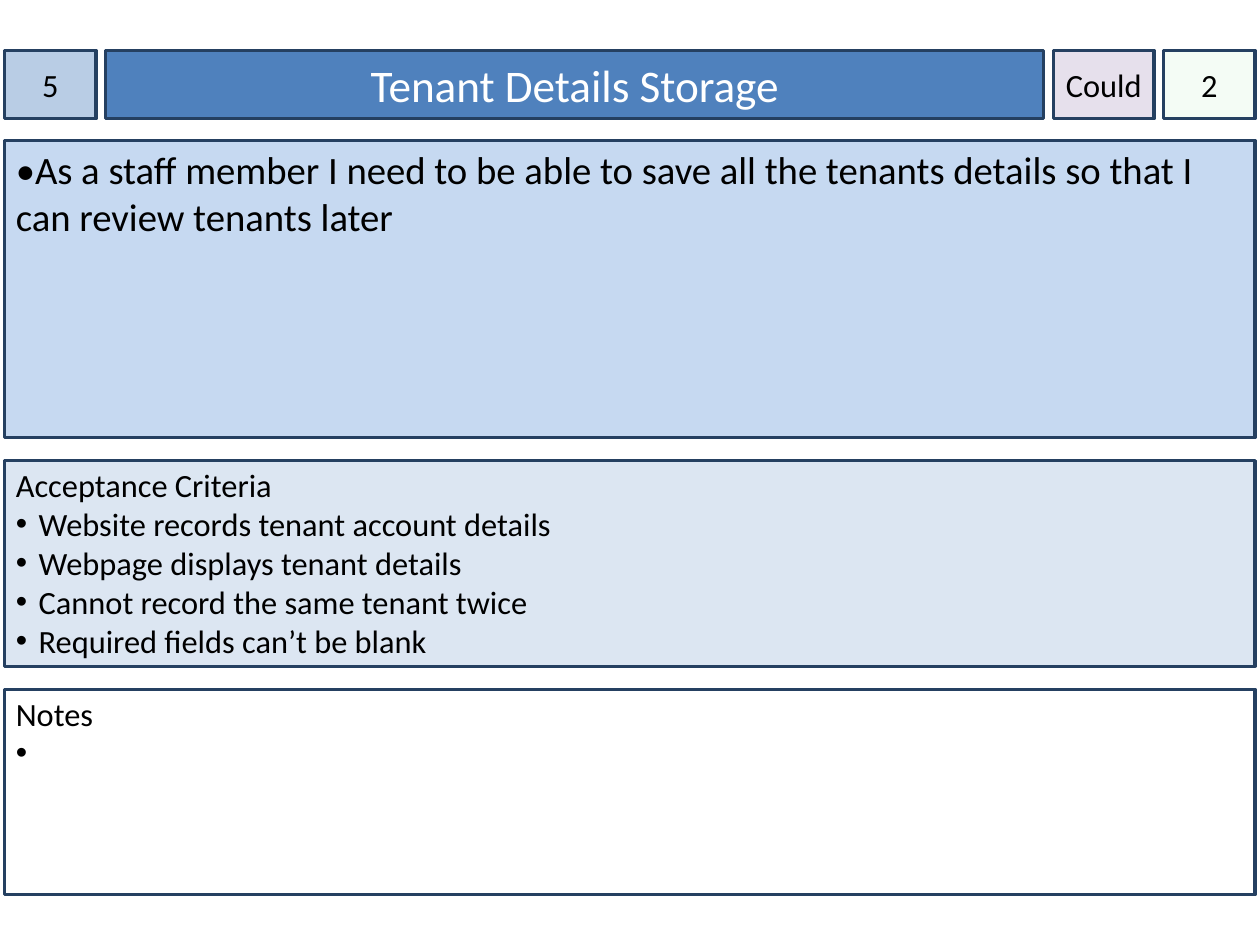
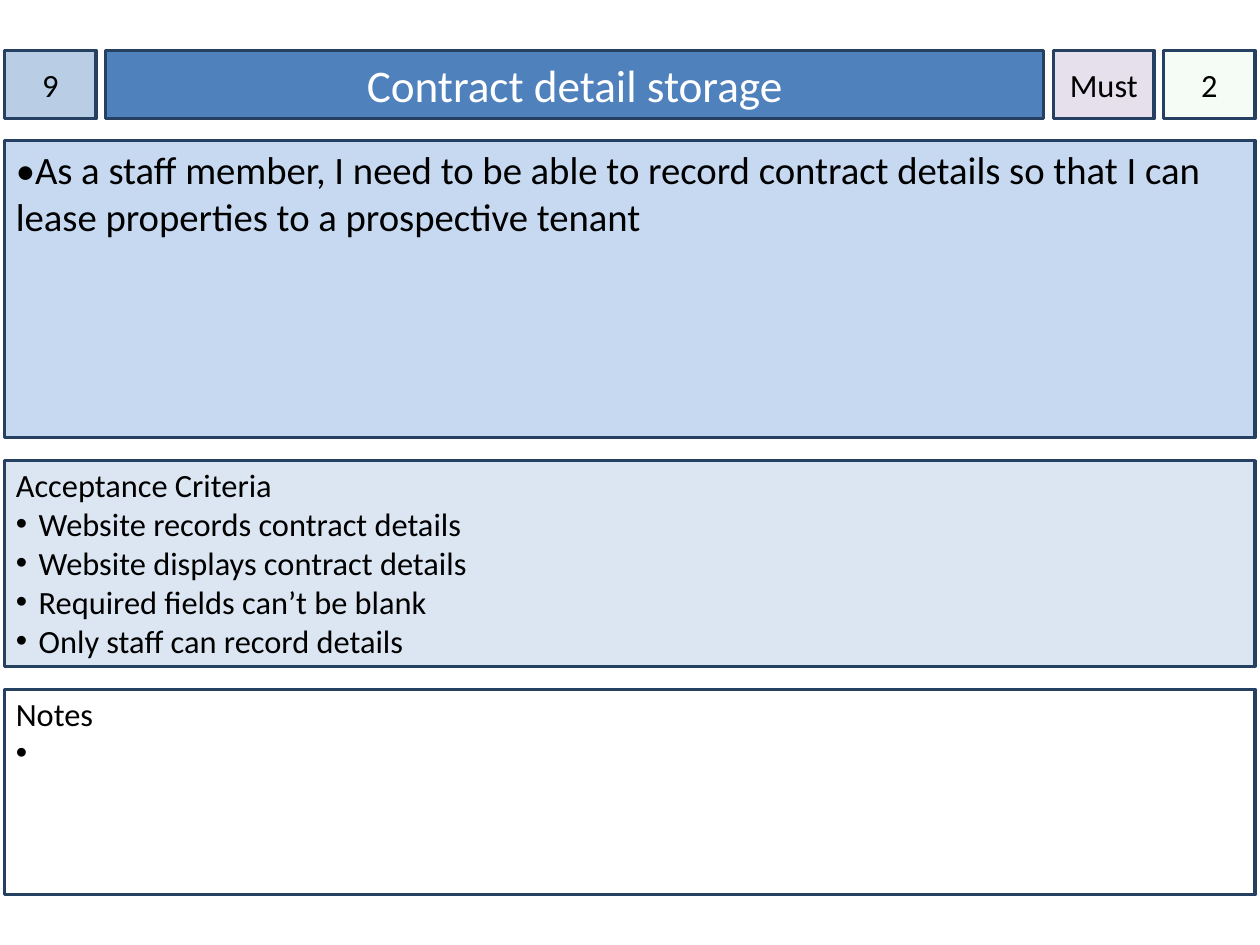
import pptx
import pptx.util
import pptx.dml.color
import pptx.enum.shapes
import pptx.enum.text
import pptx.oxml.ns
from lxml import etree

Inches = pptx.util.Inches
Pt = pptx.util.Pt
RGBColor = pptx.dml.color.RGBColor
Align = pptx.enum.text.PP_ALIGN
Anchor = pptx.enum.text.MSO_ANCHOR
qn = pptx.oxml.ns.qn

# Colours
BORDER = RGBColor(0x25, 0x40, 0x61)
NUMBER_FILL = RGBColor(0xB9, 0xCD, 0xE5)
TITLE_FILL = RGBColor(0x4F, 0x81, 0xBD)
PRIORITY_FILL = RGBColor(0xE6, 0xE0, 0xEC)
ESTIMATE_FILL = RGBColor(0xCC, 0xF0, 0xCD)
STORY_FILL = RGBColor(0xC6, 0xD9, 0xF1)
CRITERIA_FILL = RGBColor(0xDC, 0xE6, 0xF2)
WHITE = RGBColor(0xFF, 0xFF, 0xFF)
BLACK = RGBColor(0x00, 0x00, 0x00)

# Layout, in inches; the page is 28 by 21 cm
SLIDE_W, SLIDE_H = 28 / 2.54, 21 / 2.54
MARGIN = 0.04
CONTENT_W = 10.94
HEADER_TOP, HEADER_H = 0.44, 0.6
HEADER_WIDTHS = (0.8, 8.21, 0.88, 0.8)
HEADER_GAP = (CONTENT_W - sum(HEADER_WIDTHS)) / (len(HEADER_WIDTHS) - 1)
PANELS_TOP, PANEL_GAP = 1.23, 0.2
PANEL_HEIGHTS = (2.6, 1.8, 1.8)
DEFAULT_INSETS = (0.1, 0.05, 0.1, 0.05)
BADGE_INSETS = (0, 0.05, 0, 0.05)
LIST_INSETS = (0.1, 0.04, 0.1, 0.05)
BULLET_INDENT = 0.2

# Text
FONT = "Calibri"
BODY_SIZE, STORY_SIZE, TITLE_SIZE = 20.4, 24.4, 28.5

STORIES = [
    dict(number="5", title="Tenant Details Storage", priority="Could", estimate="2",
         story="•As a staff member I need to be able to save all the tenants details "
               "so that I can review tenants later",
         criteria=["Website records tenant account details",
                   "Webpage displays tenant details",
                   "Cannot record the same tenant twice",
                   "Required fields can’t be blank"]),
    dict(number="9", title="Contract detail storage", priority="Must", estimate="2",
         story="•As a staff member, I need to be able to record contract details "
               "so that I can lease properties to a prospective tenant",
         criteria=["Website records contract details",
                   "Website displays contract details",
                   "Required fields can’t be blank",
                   "Only staff can record details"]),
]


def write(paragraph, text, size=BODY_SIZE, color=BLACK, align=Align.LEFT, bullet=False):
    """Fill a paragraph with one formatted run."""
    paragraph.alignment = align
    if bullet:
        props = paragraph._p.get_or_add_pPr()
        props.set("marL", str(Inches(BULLET_INDENT)))
        props.set("indent", str(-Inches(BULLET_INDENT)))
        etree.SubElement(props, qn("a:buFont"), typeface="Arial")
        etree.SubElement(props, qn("a:buChar"), char="•")
    run = paragraph.add_run()
    run.text = text
    run.font.name = FONT
    run.font.size = Pt(size)
    run.font.color.rgb = color


class CardDeck:
    def __init__(self):
        self.prs = pptx.Presentation()
        self.prs.slide_width = Inches(SLIDE_W)
        self.prs.slide_height = Inches(SLIDE_H)
        self.slide = None

    def new_slide(self):
        self.slide = self.prs.slides.add_slide(self.prs.slide_layouts[6])

    def box(self, left, top, width, height, fill, opacity=100,
            insets=DEFAULT_INSETS, anchor=Anchor.TOP, wrap=True):
        shape = self.slide.shapes.add_shape(
            pptx.enum.shapes.MSO_SHAPE.RECTANGLE,
            Inches(left), Inches(top), Inches(width), Inches(height))
        shape.shadow.inherit = False
        shape.fill.solid()
        shape.fill.fore_color.rgb = fill
        if opacity < 100:
            color = shape._element.spPr.find(qn("a:solidFill"))[0]
            etree.SubElement(color, qn("a:alpha"), val=str(opacity * 1000))
        shape.line.color.rgb = BORDER
        shape.line.width = Pt(2)
        frame = shape.text_frame
        frame.word_wrap = wrap
        frame.vertical_anchor = anchor
        (frame.margin_left, frame.margin_top,
         frame.margin_right, frame.margin_bottom) = map(Inches, insets)
        return frame

    def header_cell(self, column, text, fill, size=BODY_SIZE, color=BLACK,
                    insets=BADGE_INSETS, **box_format):
        left = MARGIN + sum(HEADER_WIDTHS[:column]) + column * HEADER_GAP
        frame = self.box(left, HEADER_TOP, HEADER_WIDTHS[column], HEADER_H, fill,
                         insets=insets, anchor=Anchor.MIDDLE, **box_format)
        write(frame.paragraphs[0], text, size=size, color=color, align=Align.CENTER)

    def panel(self, row, text, fill, size=BODY_SIZE, **box_format):
        top = PANELS_TOP + sum(PANEL_HEIGHTS[:row]) + row * PANEL_GAP
        frame = self.box(MARGIN, top, CONTENT_W, PANEL_HEIGHTS[row], fill, **box_format)
        write(frame.paragraphs[0], text, size=size)
        return frame

    def list_panel(self, row, heading, items, fill):
        frame = self.panel(row, heading, fill, insets=LIST_INSETS)
        for item in items:
            write(frame.add_paragraph(), item, bullet=True)

    def story_card(self, number, title, priority, estimate, story, criteria):
        self.new_slide()
        # Header row and story
        self.header_cell(0, number, NUMBER_FILL)
        self.header_cell(1, title, TITLE_FILL, size=TITLE_SIZE, color=WHITE,
                         insets=DEFAULT_INSETS)
        self.panel(0, story, STORY_FILL, size=STORY_SIZE)
        # Acceptance criteria
        self.list_panel(1, "Acceptance Criteria", criteria, CRITERIA_FILL)
        # Estimate and priority badges
        self.header_cell(3, estimate, ESTIMATE_FILL, opacity=20)
        self.header_cell(2, priority, PRIORITY_FILL, wrap=False)
        # Notes
        self.list_panel(2, "Notes", [" "], WHITE)


def main():
    deck = CardDeck()
    for story in STORIES:
        deck.story_card(**story)
    deck.prs.save("out.pptx")


if __name__ == "__main__":
    main()
